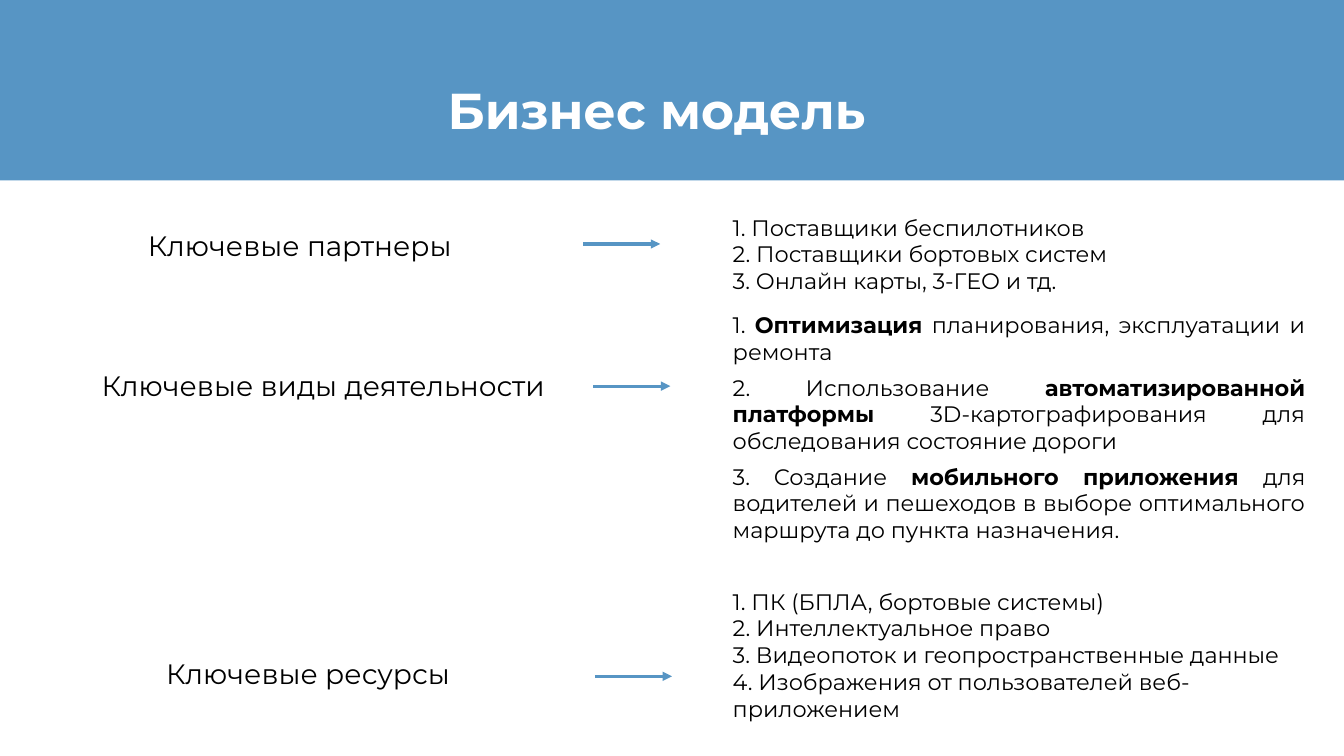
from lxml import etree
from pptx import Presentation
from pptx.dml.color import RGBColor
from pptx.enum.shapes import MSO_CONNECTOR, MSO_SHAPE
from pptx.enum.text import MSO_ANCHOR, MSO_AUTO_SIZE, PP_ALIGN
from pptx.oxml.ns import qn
from pptx.util import Pt

BLUE = RGBColor(0x57, 0x95, 0xC4)
BLACK = RGBColor(0, 0, 0)
WHITE = RGBColor(255, 255, 255)

FRAME = {"word_wrap": True, "auto_size": MSO_AUTO_SIZE.SHAPE_TO_FIT_TEXT,
         "margin_left": Pt(7.2), "margin_right": Pt(7.2),
         "margin_top": Pt(3.6), "margin_bottom": Pt(3.6)}
LIST_X, ARROW_LEN = 516.2, 55

# label, label box, arrow start, list box (top, width, height), alignment, gap, items
# Text between asterisks is bold.
SECTIONS = [
    ("Ключевые партнеры", (98.6, 159.8, 238.3), (416.6, 174.3),
     (149, 342.7, 65.5), PP_ALIGN.LEFT, 0,
     ["1. Поставщики беспилотников",
      "2. Поставщики бортовых систем",
      "3. Онлайн карты, 3-ГЕО и тд."]),
    ("Ключевые виды деятельности", (65.5, 259.9, 359.3), (423.8, 275.8),
     (218.9, 423.4, 174.2), PP_ALIGN.JUSTIFY, 6,
     ["1. *Оптимизация* планирования, эксплуатации и ремонта",
      "2. Использование *автоматизированной платформы* "
      "3D-картографирования для обследования состояние дороги",
      "3. Создание *мобильного приложения *для водителей и пешеходов "
      "в выборе оптимального маршрута до пункта назначения."]),
    ("Ключевые ресурсы", (111.6, 465.1, 243.4), (425, 483.1),
     (416.2, 444, 104.4), PP_ALIGN.LEFT, 0,
     ["1. ПК (БПЛА, бортовые системы)",
      "2. Интеллектуальное право",
      "3. Видеопоток и геопространственные данные",
      "4. Изображения от пользователей веб-приложением"]),
]


def place(sp, x, y, w, h, anchor=MSO_ANCHOR.TOP):
    sp.left, sp.top, sp.width, sp.height = Pt(x), Pt(y), Pt(w), Pt(h)
    for name, value in {**FRAME, "vertical_anchor": anchor}.items():
        setattr(sp.text_frame, name, value)
    return sp.text_frame


def write(p, text, size, color=BLACK, bold=False):
    """Fill a paragraph, switching bold at every asterisk."""
    for i, part in enumerate(text.split("*")):
        if part:
            r = p.add_run()
            r.text = part
            r.font.color.rgb = color
            for name, value in {"name": "Montserrat", "size": Pt(size),
                                "bold": bold or i % 2 == 1}.items():
                setattr(r.font, name, value)


prs = Presentation()
prs.slide_width, prs.slide_height = Pt(960), Pt(540)
s = prs.slides.add_slide(prs.slide_layouts.get_by_name("Comparison"))

band = s.shapes.add_shape(MSO_SHAPE.PARALLELOGRAM, Pt(-139), 0, Pt(1188.7), Pt(128.9))
band.adjustments[0] = 0.33
band.shadow.inherit = False
band.fill.solid()
band.fill.fore_color.rgb = BLUE
band.line.fill.background()
band._element.spPr.find(qn("a:xfrm")).set("flipV", "1")
s.shapes._spTree.insert(2, band._element)

tf = place(s.shapes.title, 312.5, 57.6, 334.8, 46.8, MSO_ANCHOR.MIDDLE)
p = tf.paragraphs[0]
p.alignment, p.line_spacing = PP_ALIGN.LEFT, 0.9
write(p, "Бизнес модель", 36, WHITE, bold=True)

title, *bodies, spare = s.placeholders
spare._element.getparent().remove(spare._element)

for body, section in zip(bodies, SECTIONS):
    label, (x, y, w), (arrow_x, arrow_y), (top, width, height), align, gap, items = section

    tf = place(s.shapes.add_textbox(0, 0, 0, 0), x, y, w, 31.7)
    write(tf.paragraphs[0], label, 20)

    tf = place(body, LIST_X, top, width, height)
    for i, item in enumerate(items):
        p = tf.add_paragraph() if i else tf.paragraphs[0]
        pPr = p._p.get_or_add_pPr()
        pPr.set("marL", "0")
        pPr.set("indent", "0")
        etree.SubElement(pPr, qn("a:buNone"))
        for name, value in {"alignment": align, "line_spacing": 1.0,
                            "space_before": Pt(0), "space_after": Pt(gap)}.items():
            setattr(p, name, value)
        write(p, item, 16)

    arrow = s.shapes.add_connector(MSO_CONNECTOR.STRAIGHT, Pt(arrow_x), Pt(arrow_y),
                                   Pt(arrow_x + ARROW_LEN), Pt(arrow_y))
    arrow.line.color.rgb = BLUE
    arrow.line.width = Pt(2.25)
    etree.SubElement(arrow.line._get_or_add_ln(), qn("a:tailEnd"), type="triangle")
    etree.SubElement(arrow._element.spPr, qn("a:effectLst"))

prs.save("out.pptx")
